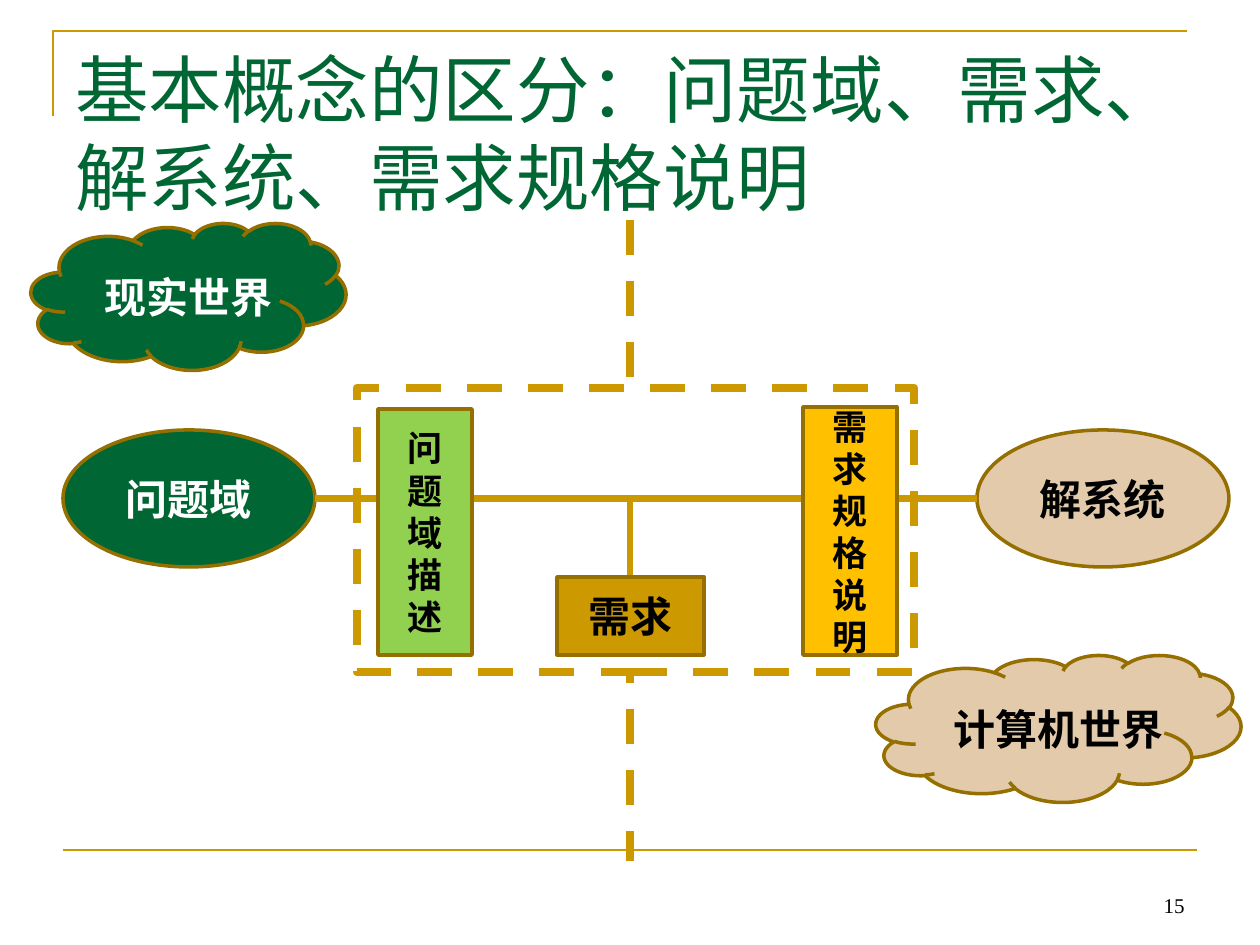
from dataclasses import dataclass

from lxml import etree
from pptx import Presentation
from pptx.dml.color import RGBColor
from pptx.enum.dml import MSO_LINE
from pptx.enum.shapes import MSO_CONNECTOR, MSO_SHAPE
from pptx.enum.text import MSO_ANCHOR, PP_ALIGN
from pptx.oxml.ns import qn
from pptx.util import Emu, Pt

PX = 914400 / 126
RECT, OVAL, CLOUD = MSO_SHAPE.RECTANGLE, MSO_SHAPE.OVAL, MSO_SHAPE.CLOUD
LEFT, CENTER, RIGHT = PP_ALIGN.LEFT, PP_ALIGN.CENTER, PP_ALIGN.RIGHT
TOP, MIDDLE, BOTTOM = MSO_ANCHOR.TOP, MSO_ANCHOR.MIDDLE, MSO_ANCHOR.BOTTOM
DASH = MSO_LINE.DASH


@dataclass(frozen=True)
class Theme:
    green: str = "006633"
    tan: str = "E2CAAA"
    lime: str = "92D050"
    amber: str = "FFC000"
    gold: str = "CC9900"
    link: str = "CC9800"
    edge: str = "956F00"
    white: str = "FFFFFF"
    black: str = "000000"
    title: int = 42
    label: int = 24
    narrow: int = 20
    number: int = 12
    serif: str = "Times New Roman"
    sans: str = "Arial"


T = Theme()

# Content: boxes are (left, top, width, height) in px
TITLE = ("基本概念的区分：问题域、需求、解系统、需求规格说明", (63, 38, 1134, 157))
NUMBER = ("15", (903, 861, 294, 63))
CORNER = [(53, 116), (53, 31), (1187, 31)]
FOOT_RULE = (63, 850, 1197, 850)
DIVIDER = (630, 220, 630, 861)
INTERFACE = (357, 388, 557, 284)
LINKS = [(315, 499, 977, 499), (630, 499, 630, 655)]
WORLDS = [
    ("现实世界", CLOUD, (31, 223, 315, 147), T.green, T.white, T.label),
    ("计算机世界", CLOUD, (876, 655, 365, 147), T.tan, T.black, T.label),
    ("问题域", OVAL, (63, 430, 252, 137), T.green, T.white, T.label),
    ("解系统", OVAL, (977, 430, 252, 137), T.tan, T.black, T.label),
]
DOCUMENTS = [
    ("问题域描述", RECT, (378, 409, 94, 246), T.lime, T.black, T.narrow),
    ("需求规格说明", RECT, (803, 407, 94, 248), T.amber, T.black, T.narrow),
    ("需求", RECT, (557, 577, 147, 78), T.gold, T.black, T.label),
]


def px(*values):
    return [Emu(round(v * PX)) for v in values]


def rgb(value):
    return RGBColor.from_string(value)


def set_line(line, color, width, dash=None):
    line.color.rgb = rgb(color)
    line.width = Pt(width)
    if dash:
        line.dash_style = dash


def write(sp, text, size, font, color, align, anchor, bold=False):
    tf = sp.text_frame
    tf.word_wrap = True
    tf.vertical_anchor = anchor
    p = tf.paragraphs[0]
    p.text = text
    p.alignment = align
    p.font.size = Pt(size)
    p.font.name = font
    p.font.bold = bold
    p.font.color.rgb = rgb(color)


def add_text(slide, item, size, color, align, anchor):
    text, box = item
    sp = slide.shapes.add_textbox(*px(*box))
    write(sp, text, size, T.serif, color, align, anchor)


def add_line(slide, ends, color, width, dash=None):
    s = slide.shapes.add_connector(MSO_CONNECTOR.STRAIGHT, *px(*ends))
    set_line(s.line, color, width, dash)
    etree.SubElement(s._element.spPr, qn("a:effectLst"))


def add_box(slide, kind, box, fill, line, width, dash=None):
    s = slide.shapes.add_shape(kind, *px(*box))
    s.shadow.inherit = False
    s.fill.solid()
    s.fill.fore_color.rgb = rgb(fill)
    set_line(s.line, line, width, dash)
    return s


def add_node(slide, text, kind, box, fill, color, size):
    s = add_box(slide, kind, box, fill, T.edge, 2)
    write(s, text, size, T.sans, color, CENTER, MIDDLE, bold=True)
    if kind == CLOUD:
        # The cloud's text area sits up and left of centre; insets re-centre it
        tf = s.text_frame
        tf.word_wrap = False
        tf.margin_left, tf.margin_right = px(box[2] * 0.07, 0)
        tf.margin_top, tf.margin_bottom = px(box[3] * 0.05, 0)


def main():
    prs = Presentation()
    prs.slide_width, prs.slide_height = px(1260, 945)
    slide = prs.slides.add_slide(prs.slide_layouts[6])

    # Frame, title and page number
    builder = slide.shapes.build_freeform(*CORNER[0], scale=PX)
    builder.add_line_segments(CORNER[1:], close=False)
    corner = builder.convert_to_shape()
    corner.shadow.inherit = False
    corner.fill.background()
    set_line(corner.line, T.gold, 1.5)
    add_line(slide, FOOT_RULE, T.gold, 1.5)
    add_text(slide, TITLE, T.title, T.green, LEFT, TOP)
    add_text(slide, NUMBER, T.number, T.black, RIGHT, BOTTOM)

    # Border between the two worlds
    add_line(slide, DIVIDER, T.link, 5, DASH)
    add_box(slide, RECT, INTERFACE, T.white, T.gold, 5, DASH)

    # Diagram, with documents lying over the links
    for node in WORLDS:
        add_node(slide, *node)
    for ends in LINKS:
        add_line(slide, ends, T.link, 4)
    for node in DOCUMENTS:
        add_node(slide, *node)

    prs.save("out.pptx")


if __name__ == "__main__":
    main()
